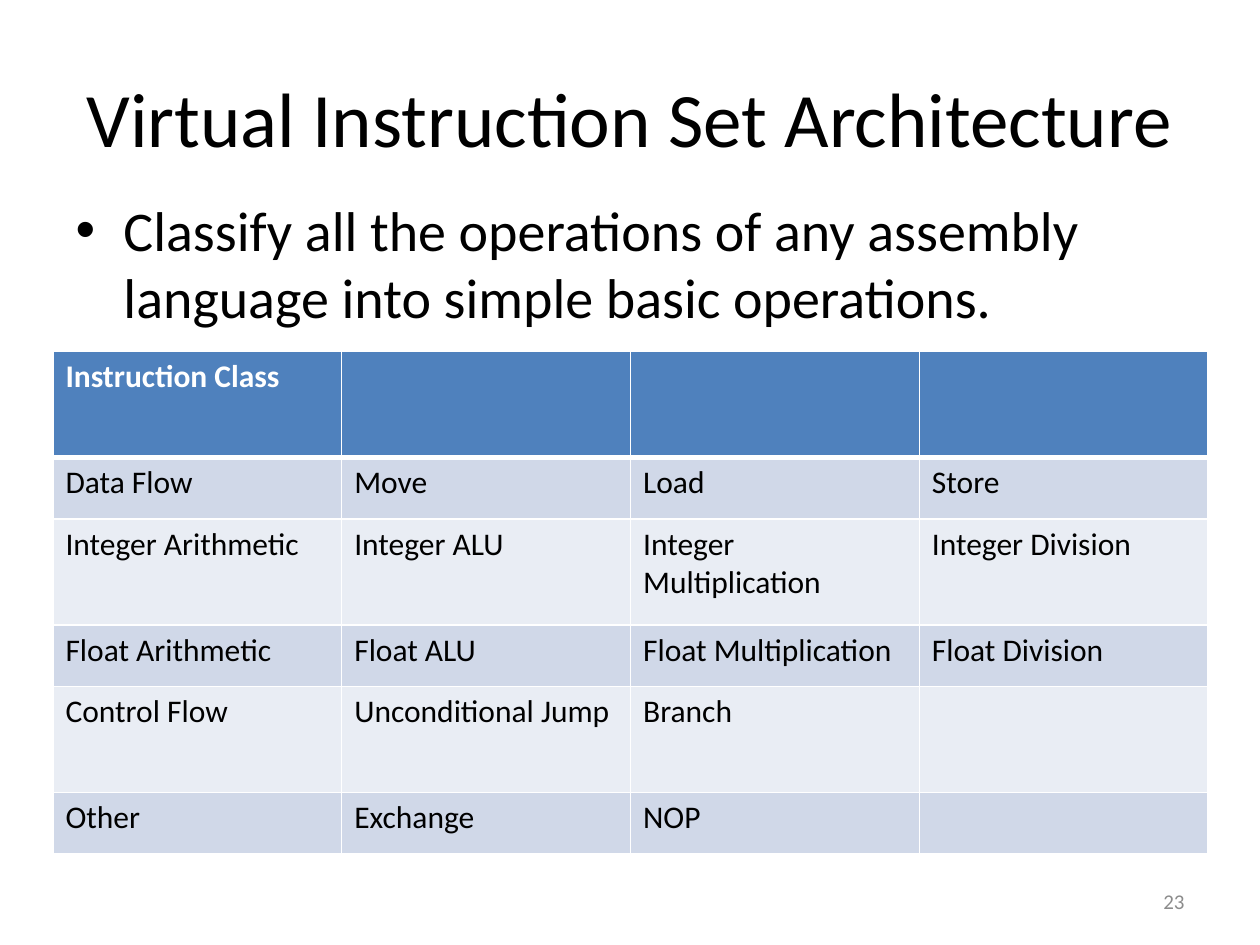
"""Build a slide on the virtual instruction set architecture."""
from lxml.etree import SubElement
from pptx import Presentation
from pptx.dml.color import RGBColor
from pptx.enum.text import MSO_ANCHOR, PP_ALIGN
from pptx.oxml import parse_xml
from pptx.oxml.ns import nsdecls, qn
from pptx.util import Inches, Pt

BLACK = RGBColor(0x00, 0x00, 0x00)
WHITE = RGBColor(0xFF, 0xFF, 0xFF)
GREY = RGBColor(0x8C, 0x8C, 0x8C)
HEADER = RGBColor(0x4F, 0x81, 0xBD)
BANDS = [RGBColor(0xE9, 0xED, 0xF4), RGBColor(0xD0, 0xD8, 0xE8)]

TITLE = "Virtual Instruction Set Architecture"
BULLET = "Classify all the operations of any assembly language into simple basic operations."
PAGE = "23"
CLASSES = [
    ("Instruction Class", "", "", ""),
    ("Data Flow", "Move", "Load", "Store"),
    ("Integer Arithmetic", "Integer ALU", "Integer Multiplication", "Integer Division"),
    ("Float Arithmetic", "Float ALU", "Float Multiplication", "Float Division"),
    ("Control Flow", "Unconditional Jump", "Branch", ""),
    ("Other", "Exchange", "NOP", ""),
]
TALL, SHORT = 0.84, 0.49


def place(sp, left, top, width, height):
    sp.left, sp.top = Inches(left), Inches(top)
    sp.width, sp.height = Inches(width), Inches(height)


def write(tf, text, size, color, align=PP_ALIGN.LEFT, bold=False):
    p = tf.paragraphs[0]
    p.alignment = align
    r = p.add_run()
    r.text = text
    r.font.color.rgb = color
    for name, value in {"name": "Calibri", "size": Pt(size), "bold": bold}.items():
        setattr(r.font, name, value)
    return p


def add_bullet(p, indent):
    pPr = p._p.get_or_add_pPr()
    pPr.set("marL", str(Inches(indent)))
    pPr.set("indent", str(-Inches(indent)))
    SubElement(pPr, qn("a:buFont")).set("typeface", "Arial")
    SubElement(pPr, qn("a:buChar")).set("char", "•")


def set_borders(cell, widths):
    tcPr = cell._tc.get_or_add_tcPr()
    for i, (side, width) in enumerate(widths.items()):
        tcPr.insert(i, parse_xml(
            f'<a:ln{side} {nsdecls("a")} w="{Pt(width)}"><a:solidFill>'
            f'<a:srgbClr val="{WHITE}"/></a:solidFill></a:ln{side}>'))


def add_classes(s):
    rows, cols = len(CLASSES), len(CLASSES[0])
    frame = s.shapes.add_table(rows, cols, Inches(0.42), Inches(2.79), Inches(9.17), Inches(4))
    table = frame.table
    for i, row in enumerate(CLASSES):
        table.rows[i].height = Inches(SHORT if i % 2 else TALL)
        head = i == 0
        for j, text in enumerate(row):
            cell = table.cell(i, j)
            cell.fill.solid()
            cell.fill.fore_color.rgb = HEADER if head else BANDS[i % 2]
            set_borders(cell, {"L": 1, "R": 1, "T": 3 if i == 1 else 1, "B": 3 if head else 1})
            if text:
                write(cell.text_frame, text, 18, WHITE if head else BLACK, bold=head)


def main():
    prs = Presentation()
    prs.slide_width, prs.slide_height = Inches(10), Inches(7.5)
    s = prs.slides.add_slide(prs.slide_layouts[1])

    title, body = s.placeholders
    place(title, 0.5, 0.3, 9, 1.25)
    title.text_frame.vertical_anchor = MSO_ANCHOR.MIDDLE
    write(title.text_frame, TITLE, 44, BLACK, PP_ALIGN.CENTER)

    place(body, 0.5, 1.5, 9, 4.95)
    p = write(body.text_frame, BULLET, 32, BLACK)
    p.space_before = Pt(0)
    add_bullet(p, 0.38)

    add_classes(s)

    page = s.shapes.add_textbox(Inches(7.17), Inches(6.95), Inches(2.33), Inches(0.4))
    tf = page.text_frame
    tf.word_wrap = True
    tf.vertical_anchor = MSO_ANCHOR.MIDDLE
    write(tf, PAGE, 12, GREY, PP_ALIGN.RIGHT)

    prs.save("out.pptx")


if __name__ == "__main__":
    main()
